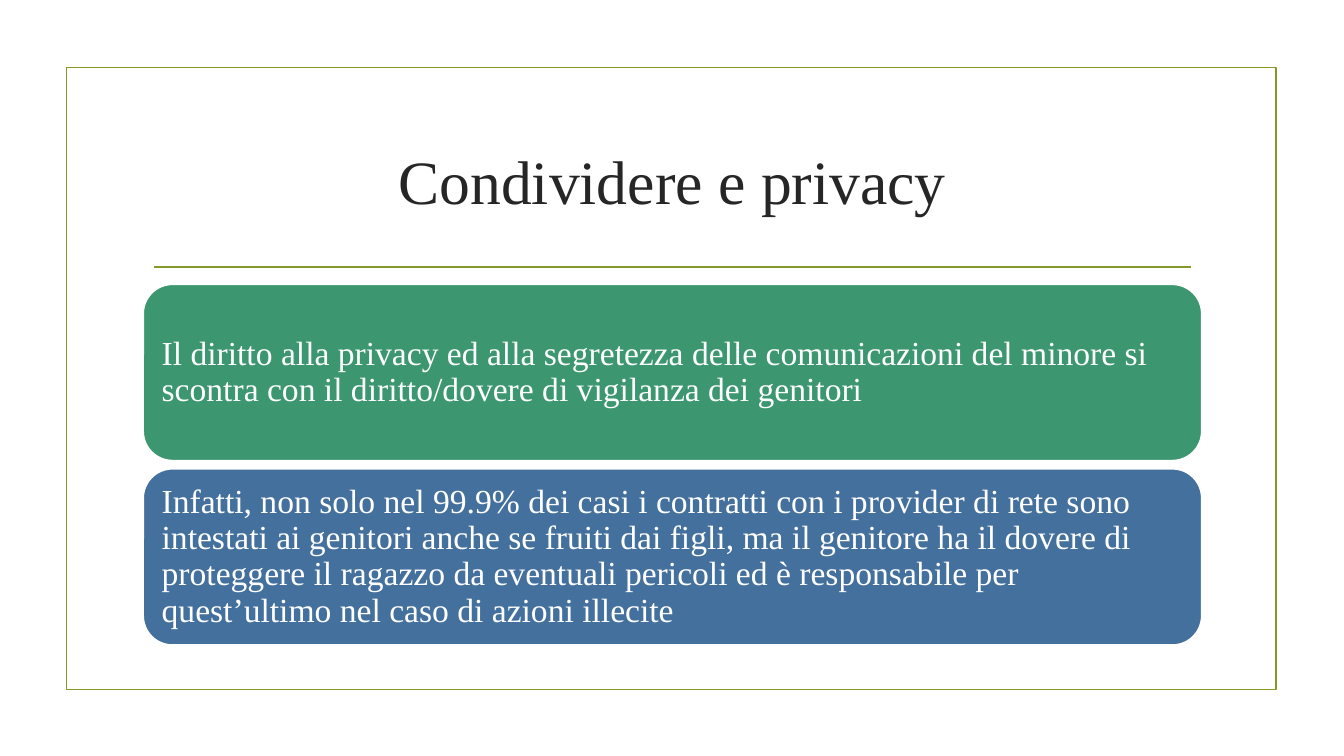
from pptx import Presentation
from pptx.dml.color import RGBColor
from pptx.enum.shapes import MSO_CONNECTOR, MSO_SHAPE
from pptx.enum.text import MSO_ANCHOR, PP_ALIGN
from pptx.oxml.ns import qn
from pptx.util import Inches, Pt

OLIVE, WHITE, INK = "83992A", "FFFFFF", "262626"
SERIF = "Times New Roman"
COLUMN_LEFT, COLUMN_WIDTH = 1.42, 10.5
CARDS_TOP, CARD_HEIGHT, CARD_GAP = 2.82, 1.75, 0.08

CARDS = [
    ("3C9770", "Il diritto alla privacy ed alla segretezza delle comunicazioni del minore "
               "si scontra con il diritto/dovere di vigilanza dei genitori"),
    ("44709D", "Infatti, non solo nel 99.9% dei casi i contratti con i provider di rete sono "
               "intestati ai genitori anche se fruiti dai figli, ma il genitore ha il dovere di "
               "proteggere il ragazzo da eventuali pericoli ed è responsabile per "
               "quest’ultimo nel caso di azioni illecite"),
]


def set_line(line, color):
    line.color.rgb = RGBColor.from_string(color)
    line.width = Pt(1.25)


def write(frame, text, size, color, align):
    frame.text = text
    frame.word_wrap = True
    frame.vertical_anchor = MSO_ANCHOR.MIDDLE
    paragraph = frame.paragraphs[0]
    paragraph.alignment = align
    font = paragraph.runs[0].font
    for attribute, value in {"name": SERIF, "size": Pt(size)}.items():
        setattr(font, attribute, value)
    font.color.rgb = RGBColor.from_string(color)
    return paragraph


prs = Presentation()
prs.slide_width, prs.slide_height = Inches(13.33), Inches(7.5)
slide = prs.slides.add_slide(prs.slide_layouts.get_by_name("Title Only"))
shapes = slide.shapes

# Title
title = shapes.title
title.left, title.top = Inches(COLUMN_LEFT), Inches(1.07)
title.width, title.height = Inches(COLUMN_WIDTH), Inches(1.43)
write(title.text_frame, "Condividere e privacy", 44, INK, PP_ALIGN.CENTER)

# Border and rule under the title
border = shapes.add_shape(MSO_SHAPE.RECTANGLE, Inches(0.66), Inches(0.67), Inches(12), Inches(6.17))
border.shadow.inherit = False
border.fill.background()
set_line(border.line, OLIVE)

rule = shapes.add_connector(MSO_CONNECTOR.STRAIGHT, Inches(1.53), Inches(2.65), Inches(11.81), Inches(2.65))
set_line(rule.line, OLIVE)
effects = rule.line._get_or_add_ln().makeelement(qn("a:effectLst"), {})
rule.line._get_or_add_ln().addnext(effects)

# Stacked cards
for row, (color, text) in enumerate(CARDS):
    top = CARDS_TOP + row * (CARD_HEIGHT + CARD_GAP)
    card = shapes.add_shape(MSO_SHAPE.ROUNDED_RECTANGLE, Inches(COLUMN_LEFT), Inches(top),
                            Inches(COLUMN_WIDTH), Inches(CARD_HEIGHT))
    card.shadow.inherit = False
    card.fill.solid()
    card.fill.fore_color.rgb = RGBColor.from_string(color)
    set_line(card.line, WHITE)
    for side in ("left", "top", "right", "bottom"):
        setattr(card.text_frame, f"margin_{side}", Inches(0.1))
    paragraph = write(card.text_frame, text, 24, WHITE, PP_ALIGN.LEFT)
    paragraph.line_spacing = 0.9

prs.save("out.pptx")
